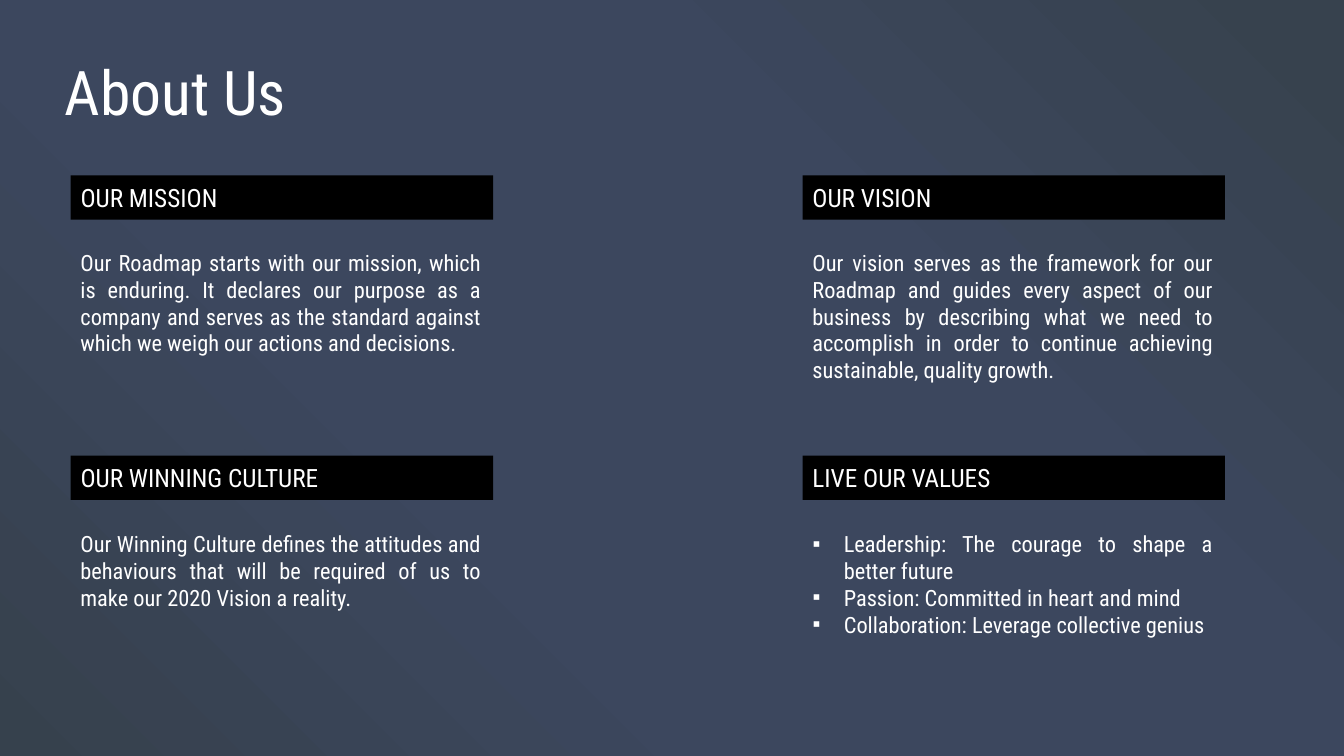
from dataclasses import dataclass

from pptx import Presentation
from pptx.dml.color import RGBColor
from pptx.enum.shapes import MSO_SHAPE
from pptx.enum.text import MSO_ANCHOR, MSO_AUTO_SIZE, PP_ALIGN
from pptx.oxml import parse_xml
from pptx.oxml.ns import nsdecls
from pptx.util import Inches, Pt


@dataclass(frozen=True)
class Theme:
    """Colours, fonts and type sizes of the slide."""

    font: str = "Roboto Condensed"
    bullet_font: str = "Arial"
    text: RGBColor = RGBColor(0xFF, 0xFF, 0xFF)
    banner: RGBColor = RGBColor(0x00, 0x00, 0x00)
    backdrop: tuple = ((0, "36414D"), (35, "3C475E"), (65, "3C475E"), (97, "37424E"))
    title_size: int = 44
    heading_size: int = 18
    body_size: int = 16


THEME = Theme()
COLUMNS = (0.7, 7.96)
ROWS = ((1.74, 2.42), (4.52, 5.21))
BANNER_WIDTH, BANNER_HEIGHT = 4.19, 0.44
BODY_WIDTH = 4.17
INDENT = 0.31
LINE_HEIGHT, PADDING = 0.27, 0.1

SECTIONS = (
    ("OUR MISSION", 4, (
        "Our Roadmap starts with our mission, which is enduring. It declares our purpose "
        "as a company and serves as the standard against which we weigh our actions and "
        "decisions.",
    )),
    ("OUR VISION", 5, (
        "Our vision serves as the framework for our Roadmap and guides every aspect of our "
        "business by describing what we need to accomplish in order to continue achieving "
        "sustainable, quality growth.",
    )),
    ("OUR WINNING CULTURE", 3, (
        "Our Winning Culture defines the attitudes and behaviours that will be required of "
        "us to make our 2020 Vision a reality.",
    )),
    ("LIVE OUR VALUES", 4, (
        "Leadership: The courage to shape a better future",
        "Passion: Committed in heart and mind",
        "Collaboration: Leverage collective genius",
    )),
)


def paint_backdrop(page):
    """Give the page its radial gradient, centred on the bottom left corner."""
    stops = "".join(
        f'<a:gs pos="{place * 1000}"><a:srgbClr val="{colour}"/></a:gs>'
        for place, colour in THEME.backdrop
    )
    background = parse_xml(
        f'<p:bg {nsdecls("p", "a")}><p:bgPr><a:gradFill rotWithShape="1">'
        f'<a:gsLst>{stops}</a:gsLst><a:path path="circle">'
        '<a:fillToRect t="100000" r="100000"/></a:path></a:gradFill>'
        "<a:effectLst/></p:bgPr></p:bg>"
    )
    page.element.cSld.insert(0, background)


def place(shape, left, top, width, height):
    """Move a shape to a box given in inches."""
    shape.left, shape.top = Inches(left), Inches(top)
    shape.width, shape.height = Inches(width), Inches(height)


def add_bullet(para):
    """Give a paragraph a square bullet and a hanging indent."""
    properties = para._p.get_or_add_pPr()
    properties.set("marL", str(Inches(INDENT)))
    properties.set("indent", str(-Inches(INDENT)))
    for tag, name, value in (
        ("buFont", "typeface", THEME.bullet_font),
        ("buChar", "char", "▪"),
    ):
        properties.append(parse_xml(f'<a:{tag} {nsdecls("a")} {name}="{value}"/>'))


def write(shape, lines, size, align, anchor=MSO_ANCHOR.TOP, bulleted=False):
    """Fill a shape with one styled paragraph per line."""
    frame = shape.text_frame
    frame.word_wrap = True
    frame.vertical_anchor = anchor
    for index, line in enumerate(lines):
        para = frame.add_paragraph() if index else frame.paragraphs[0]
        if bulleted:
            add_bullet(para)
        para.alignment = align
        para.space_before = Pt(0)
        span = para.add_run()
        span.text = line
        span.font.name = THEME.font
        span.font.size = Pt(size)
        span.font.color.rgb = THEME.text


def add_title(page, left, top, width, height):
    """Set the page title in its placeholder."""
    title = page.shapes.title
    place(title, left, top, width, height)
    write(title, ["About Us"], THEME.title_size, PP_ALIGN.LEFT)
    title.text_frame.auto_size = MSO_AUTO_SIZE.SHAPE_TO_FIT_TEXT


def add_banner(page, heading, left, top):
    """Draw a black section banner with its heading."""
    banner = page.shapes.add_shape(
        MSO_SHAPE.RECTANGLE, Inches(left), Inches(top),
        Inches(BANNER_WIDTH), Inches(BANNER_HEIGHT),
    )
    banner.shadow.inherit = False
    banner.fill.solid()
    banner.fill.fore_color.rgb = THEME.banner
    banner.line.fill.background()
    write(banner, [heading], THEME.heading_size, PP_ALIGN.LEFT, MSO_ANCHOR.MIDDLE)


def add_body(page, lines, left, top, height):
    """Set a section's text, using the body placeholder for a list."""
    bulleted = len(lines) > 1
    if bulleted:
        body = page.placeholders[1]
        place(body, left, top, BODY_WIDTH, height)
    else:
        body = page.shapes.add_textbox(
            Inches(left), Inches(top), Inches(BODY_WIDTH), Inches(height)
        )
    write(body, lines, THEME.body_size, PP_ALIGN.JUSTIFY, bulleted=bulleted)
    body.text_frame.auto_size = MSO_AUTO_SIZE.SHAPE_TO_FIT_TEXT


def main():
    """Build and save the slide."""
    deck = Presentation()
    deck.slide_width, deck.slide_height = Inches(13.33), Inches(7.5)
    page = deck.slides.add_slide(deck.slide_layouts[1])
    paint_backdrop(page)
    add_title(page, 0.54, 0.48, 5, 0.84)
    for index, (heading, line_count, lines) in enumerate(SECTIONS):
        row, column = divmod(index, len(COLUMNS))
        banner_top, body_top = ROWS[row]
        add_banner(page, heading, COLUMNS[column], banner_top)
        height = line_count * LINE_HEIGHT + PADDING
        add_body(page, lines, COLUMNS[column], body_top, height)
    deck.save("out.pptx")


if __name__ == "__main__":
    main()
